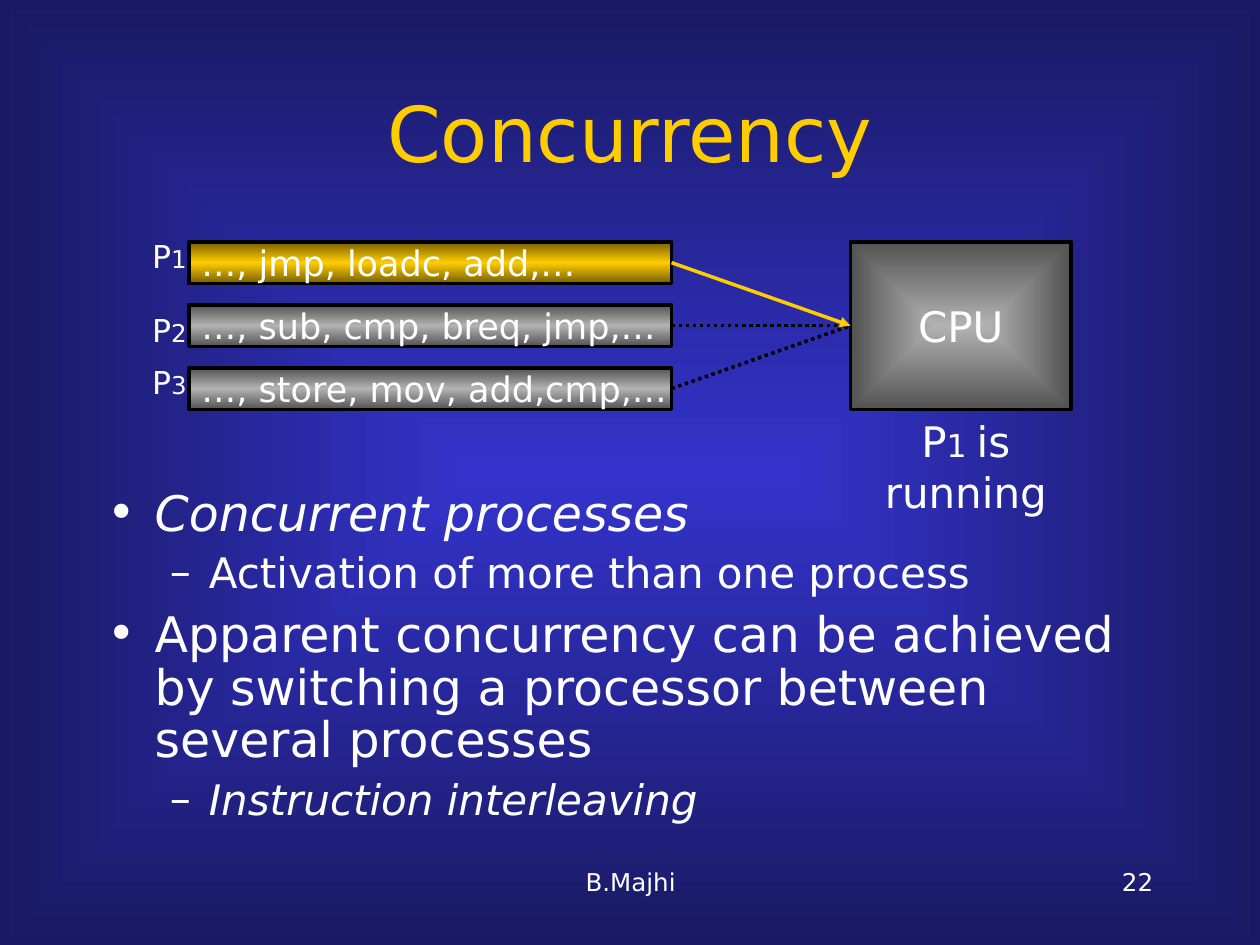
from lxml.etree import SubElement
from pptx import Presentation
from pptx.dml.color import RGBColor
from pptx.enum.dml import MSO_LINE
from pptx.enum.shapes import MSO_CONNECTOR as CONN, MSO_SHAPE as SHAPE
from pptx.enum.text import MSO_ANCHOR as ANCHOR, PP_ALIGN as ALIGN
from pptx.oxml.ns import qn
from pptx.util import Inches, Pt

FONT = "DejaVu Sans"
WHITE, BLACK, GOLD = "FFFFFF", "000000", "FFCC00"
BACKGROUND = [(0, "3333CC"), (100, "191963")]
CPU_FILL = [(0, "B2B2B2"), (100, "525252")]
ACTIVE = [(0, "765E00"), (50, GOLD), (100, "765E00")]
WAITING = [(0, "525252"), (50, "B2B2B2"), (100, "525252")]

PROCESSES = [
    ("1", "…, jmp, loadc, add,…", ACTIVE, 1.83),
    ("2", "…, sub, cmp, breq, jmp,…", WAITING, 2.42),
    ("3", "…, store, mov, add,cmp,…", WAITING, 2.83),
]
BULLETS = [
    (0, "Concurrent processes", True),
    (1, "Activation of more than one process", False),
    (0, "Apparent concurrency can be achieved by switching a processor "
        "between several processes", False),
    (1, "Instruction interleaving", True),
]
LEVELS = [
    dict(char="•", size=28, left=0.38, hang=0.38, before=7),
    dict(char="–", size=24, left=0.81, hang=0.31, before=6),
]
ROW_LEFT, ROW_TOP, ROW_W, ROW_H, ROW_PITCH = 1.5, 1.92, 3.83, 0.33, 0.5


def rgb(color):
    return RGBColor.from_string(color)


def gradient(fill, element, stops, centred):
    fill.gradient()
    grad = element.find(".//" + qn("a:gradFill"))
    for child in list(grad):
        grad.remove(child)
    gs_list = SubElement(grad, qn("a:gsLst"))
    for pos, color in stops:
        gs = SubElement(gs_list, qn("a:gs"), pos=str(pos * 1000))
        SubElement(gs, qn("a:srgbClr"), val=color)
    if centred:
        path = SubElement(grad, qn("a:path"), path="rect")
        SubElement(path, qn("a:fillToRect"), l="50000", t="50000", r="50000", b="50000")
    else:
        SubElement(grad, qn("a:lin"), ang="5400000", scaled="0")


def add_runs(p, runs, color=WHITE, italic=False):
    for text, size in runs:
        r = p.add_run()
        r.text = text
        r.font.color.rgb = rgb(color)
        for key, value in dict(name=FONT, size=Pt(size), italic=italic).items():
            setattr(r.font, key, value)


def add_text(s, box, runs, align, color=WHITE, anchor=ANCHOR.TOP):
    tf = s.shapes.add_textbox(*map(Inches, box)).text_frame
    tf.word_wrap = True
    tf.vertical_anchor = anchor
    tf.paragraphs[0].alignment = align
    add_runs(tf.paragraphs[0], runs, color)


def add_block(s, box, stops, centred, text, size, align):
    sp = s.shapes.add_shape(SHAPE.RECTANGLE, *map(Inches, box))
    sp.shadow.inherit = False
    gradient(sp.fill, sp.element, stops, centred)
    sp.line.color.rgb = rgb(BLACK)
    sp.line.width = Pt(2)
    tf = sp.text_frame
    tf.word_wrap = False
    tf.vertical_anchor = ANCHOR.MIDDLE
    tf.paragraphs[0].alignment = align
    add_runs(tf.paragraphs[0], [(text, size)])
    return sp


def add_link(s, row, cpu, running):
    c = s.shapes.add_connector(CONN.STRAIGHT, 0, 0, 0, 0)
    c.begin_connect(row, 3)
    c.end_connect(cpu, 1)
    c.line.color.rgb = rgb(GOLD if running else BLACK)
    c.line.width = Pt(2)
    if running:
        SubElement(c.line._get_or_add_ln(), qn("a:tailEnd"), type="triangle")
    else:
        c.line.dash_style = MSO_LINE.ROUND_DOT
    SubElement(c.element.spPr, qn("a:effectLst"))


def add_bullets(s, box):
    tf = s.shapes.add_textbox(*map(Inches, box)).text_frame
    tf.word_wrap = True
    for i, (level, text, italic) in enumerate(BULLETS):
        fmt = LEVELS[level]
        p = tf.add_paragraph() if i else tf.paragraphs[0]
        for key, value in dict(level=level, line_spacing=0.9,
                               space_before=Pt(fmt["before"])).items():
            setattr(p, key, value)
        pPr = p._p.get_or_add_pPr()
        pPr.set("marL", str(Inches(fmt["left"])))
        pPr.set("indent", str(-Inches(fmt["hang"])))
        SubElement(SubElement(pPr, qn("a:buClr")), qn("a:srgbClr"), val=WHITE)
        SubElement(pPr, qn("a:buFont"), typeface=FONT)
        SubElement(pPr, qn("a:buChar"), char=fmt["char"])
        add_runs(p, [(text, fmt["size"])], italic=italic)


def main():
    prs = Presentation()
    prs.slide_width, prs.slide_height = Inches(10), Inches(7.5)
    s = prs.slides.add_slide(prs.slide_layouts[6])
    gradient(s.background.fill, s.element, BACKGROUND, True)

    add_text(s, (3.42, 6.83, 3.17, 0.5), [("B.Majhi", 14)], ALIGN.CENTER)
    add_text(s, (7.17, 6.83, 2.08, 0.5), [("22", 14)], ALIGN.RIGHT)
    add_text(s, (0.75, 0.42, 8.5, 1.25), [("Concurrency", 44)], ALIGN.CENTER,
             GOLD, ANCHOR.MIDDLE)
    add_bullets(s, (0.75, 3.83, 8.5, 2.83))

    cpu = add_block(s, (6.75, ROW_TOP, 1.75, ROW_H + 2 * ROW_PITCH),
                    CPU_FILL, True, "CPU", 24, ALIGN.CENTER)
    for i, (number, code, stops, label_top) in reversed(list(enumerate(PROCESSES))):
        row = add_block(s, (ROW_LEFT, ROW_TOP + i * ROW_PITCH, ROW_W, ROW_H),
                        stops, False, code, 20, ALIGN.LEFT)
        add_link(s, row, cpu, stops is ACTIVE)
        add_text(s, (1.08, label_top, 0.5, 0.4), [("P", 18), (number, 14)], ALIGN.RIGHT)
    add_text(s, (6.57, 3.25, 2.19, 0.5),
             [("P", 24), ("1 ", 18), ("is running", 24)], ALIGN.CENTER)
    prs.save("out.pptx")


if __name__ == "__main__":
    main()
